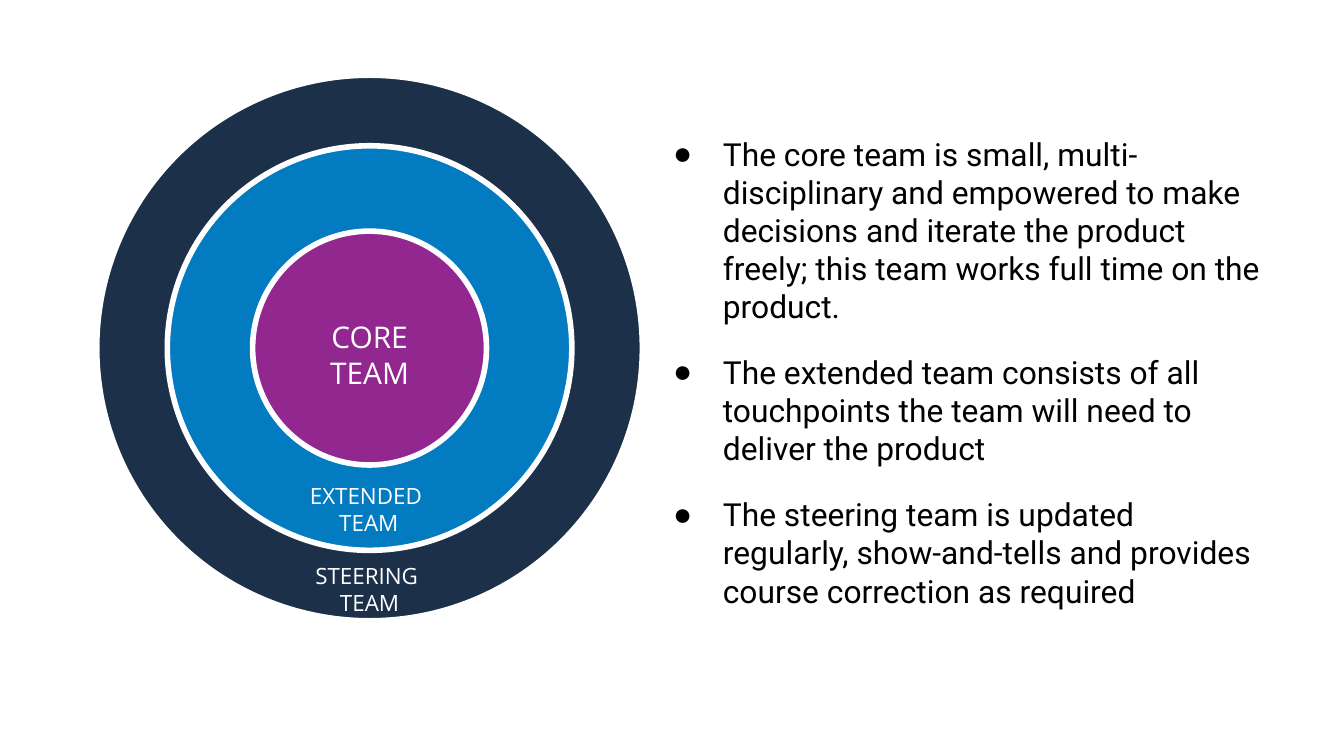
from lxml.etree import SubElement
from pptx import Presentation
from pptx.dml.color import RGBColor
from pptx.enum.shapes import MSO_SHAPE
from pptx.enum.text import MSO_ANCHOR, PP_ALIGN
from pptx.oxml.ns import qn
from pptx.util import Inches, Pt


def color(code):
    return RGBColor.from_string(code)


def write(box, lines, name, size, code, **form):
    """Add a text box with one paragraph per line, each with the given format."""
    frame = slide.shapes.add_textbox(*map(Inches, box)).text_frame
    frame.word_wrap = True
    frame.vertical_anchor = MSO_ANCHOR.TOP
    for side in ("left", "right", "top", "bottom"):
        setattr(frame, f"margin_{side}", Inches(0.1))
    for i, line in enumerate(lines):
        para = frame.add_paragraph() if i else frame.paragraphs[0]
        run = para.add_run()
        run.text = line
        run.font.color.rgb = color(code)
        for key, value in {"name": name, "size": Pt(size)}.items():
            setattr(run.font, key, value)
        for key, value in form.items():
            setattr(para, key, value)
    return frame.paragraphs


deck = Presentation()
deck.slide_width = Inches(10)
deck.slide_height = Inches(10 * 9 / 16)
slide = deck.slides.add_slide(deck.slide_layouts[6])

# Concentric rings, from the outside in
mid_x, mid_y = 2.75, 2.59
for size, code in ((4.06, "1C304A"), (3.01, "037BC1"), (1.74, "92278F")):
    ring = slide.shapes.add_shape(
        MSO_SHAPE.OVAL, Inches(mid_x - size / 2), Inches(mid_y - size / 2),
        Inches(size), Inches(size))
    ring.shadow.inherit = False
    ring.fill.solid()
    ring.fill.fore_color.rgb = color(code)
    ring.line.color.rgb = color("FFFFFF")
    ring.line.width = Pt(3)

# Ring labels
labels = [
    ((2.29, 2.27, 0.92, 0.63), "CORE", 16),
    ((1.81, 4.08, 1.88, 0.45), "STEERING ", 12),
    ((1.96, 3.49, 1.57, 0.36), "EXTENDED ", 12),
]
for box, word, size in labels:
    write(box, [word, "TEAM"], "Open Sans", size, "FFFFFF",
          alignment=PP_ALIGN.CENTER, line_spacing=1.0)

# Role of each team
roles = [
    "The core team is small, multi-disciplinary and empowered to make "
    "decisions and iterate the product freely; this team works full time "
    "on the product.",
    "The extended team consists of all touchpoints the team will need to "
    "deliver the product",
    "The steering team is updated regularly, show-and-tells and provides "
    "course correction as required",
]
paras = write((4.78, 0.9, 4.75, 3.72), roles, "Roboto", 17, "000000",
              alignment=PP_ALIGN.LEFT, line_spacing=1.0)
for para in paras[1:]:
    para.space_before = Pt(15)
paras[-1].space_after = Pt(15)
for para in paras:
    props = para._p.get_or_add_pPr()
    props.set("marL", str(Inches(0.5)))
    props.set("indent", str(Inches(-0.37)))
    tint = SubElement(props, qn("a:buClr"))
    SubElement(tint, qn("a:srgbClr"), val="000000")
    SubElement(props, qn("a:buFont"), typeface="Arial")
    SubElement(props, qn("a:buChar"), char="●")

deck.save("out.pptx")
